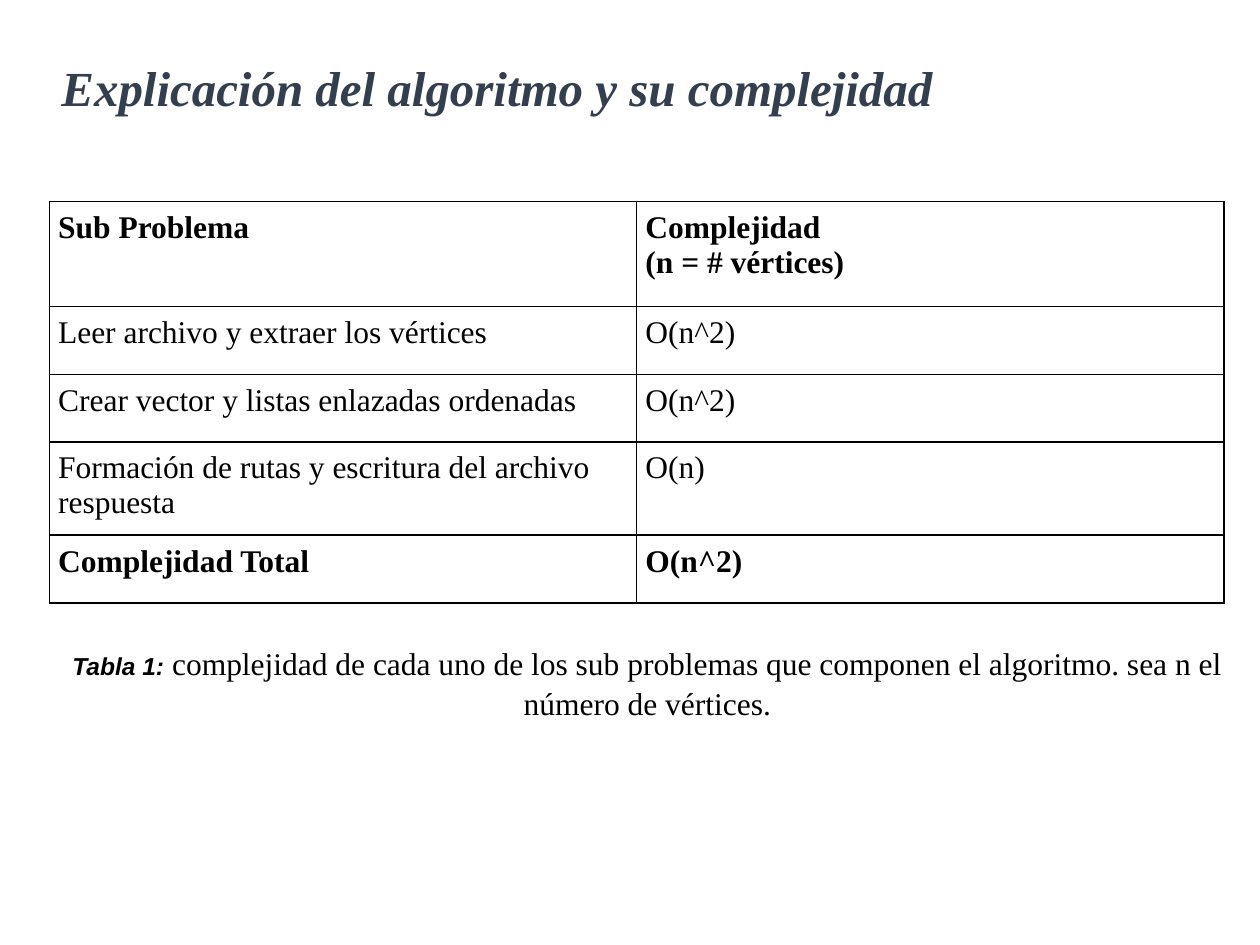
"""Build the slide on the algorithm and its complexity."""
from dataclasses import dataclass

from lxml.etree import SubElement
from pptx import Presentation
from pptx.dml.color import RGBColor
from pptx.enum.text import MSO_ANCHOR, PP_ALIGN
from pptx.oxml.ns import qn
from pptx.util import Pt


@dataclass(frozen=True)
class Theme:
    heading_color: str = "333F4F"
    ink: str = "000000"
    serif: str = "Times New Roman"
    sans: str = "Arial"
    heading_size: int = 28
    body_size: int = 18
    label_size: int = 14
    border_width: int = 1
    cell_inset: float = 5.04


def add_text(paragraph, text, *, font, size, color, bold=False, italic=False):
    run = paragraph.add_run()
    run.text = text
    run.font.name = font
    run.font.size = Pt(size)
    run.font.bold = bold
    run.font.italic = italic
    run.font.color.rgb = RGBColor.from_string(color)


class SlideBuilder:
    def __init__(self, slide, theme):
        self.slide = slide
        self.theme = theme

    def text_box(self, left, top, width, height, runs, *, align=PP_ALIGN.LEFT,
                 anchor=MSO_ANCHOR.TOP, spacing=1.0):
        frame = self.slide.shapes.add_textbox(
            Pt(left), Pt(top), Pt(width), Pt(height)).text_frame
        frame.word_wrap = True
        frame.vertical_anchor = anchor
        paragraph = frame.paragraphs[0]
        paragraph.alignment = align
        paragraph.line_spacing = spacing
        for text, style in runs:
            add_text(paragraph, text, **style)

    def table(self, left, top, column_widths, row_heights, rows, bold_rows):
        grid = self.slide.shapes.add_table(
            len(rows), len(column_widths), Pt(left), Pt(top),
            Pt(sum(column_widths)), Pt(sum(row_heights))).table
        grid.first_row = grid.horz_banding = False
        for column, width in zip(grid.columns, column_widths):
            column.width = Pt(width)
        for index, (row, height, texts) in enumerate(zip(grid.rows, row_heights, rows)):
            row.height = Pt(height)
            for cell, text in zip(row.cells, texts):
                self.fill_cell(cell, text, index in bold_rows)

    def fill_cell(self, cell, text, bold):
        theme = self.theme
        inset = Pt(theme.cell_inset)
        cell.margin_left = cell.margin_right = inset
        cell.margin_top = cell.margin_bottom = inset
        frame = cell.text_frame
        for index, line in enumerate(text.split("\n")):
            paragraph = frame.add_paragraph() if index else frame.paragraphs[0]
            add_text(paragraph, line, font=theme.serif, size=theme.body_size,
                     color=theme.ink, bold=bold)
        self.draw_borders(cell)
        cell.fill.background()

    def draw_borders(self, cell):
        properties = cell._tc.get_or_add_tcPr()
        for side in ("a:lnL", "a:lnR", "a:lnT", "a:lnB"):
            border = SubElement(properties, qn(side), w=str(Pt(self.theme.border_width)))
            solid = SubElement(border, qn("a:solidFill"))
            SubElement(solid, qn("a:srgbClr"), val=self.theme.ink)


def main():
    theme = Theme()
    presentation = Presentation()
    presentation.slide_width, presentation.slide_height = Pt(720), Pt(540)
    slide = presentation.slides.add_slide(presentation.slide_layouts[6])
    builder = SlideBuilder(slide, theme)

    heading = dict(font=theme.serif, size=theme.heading_size,
                   color=theme.heading_color, bold=True, italic=True)
    label = dict(font=theme.sans, size=theme.label_size, color=theme.ink,
                 bold=True, italic=True)
    body = dict(font=theme.serif, size=theme.body_size, color=theme.ink)

    builder.text_box(28, 27.4, 620.6, 48.2,
                     [("Explicación del algoritmo y su complejidad", heading)],
                     anchor=MSO_ANCHOR.MIDDLE, spacing=0.9)
    builder.text_box(28, 362.9, 684, 48.2, [
        ("Tabla 1:", label),
        (" complejidad de cada uno de los sub problemas que componen el algoritmo."
         " sea n el número de vértices.", body),
    ], align=PP_ALIGN.CENTER, spacing=1.07)

    subproblems = [
        ("Sub Problema", "Complejidad\n(n = # vértices)"),
        ("Leer archivo y extraer los vértices", "O(n^2)"),
        ("Crear vector y listas enlazadas ordenadas", "O(n^2)"),
        ("Formación de rutas y escritura del archivo respuesta", "O(n)"),
        ("Complejidad Total", "O(n^2)"),
    ]
    builder.table(28.2, 115.2, [335.6] * 2, [60] + [38.7] * 4, subproblems,
                  bold_rows={0, len(subproblems) - 1})
    presentation.save("out.pptx")


if __name__ == "__main__":
    main()
